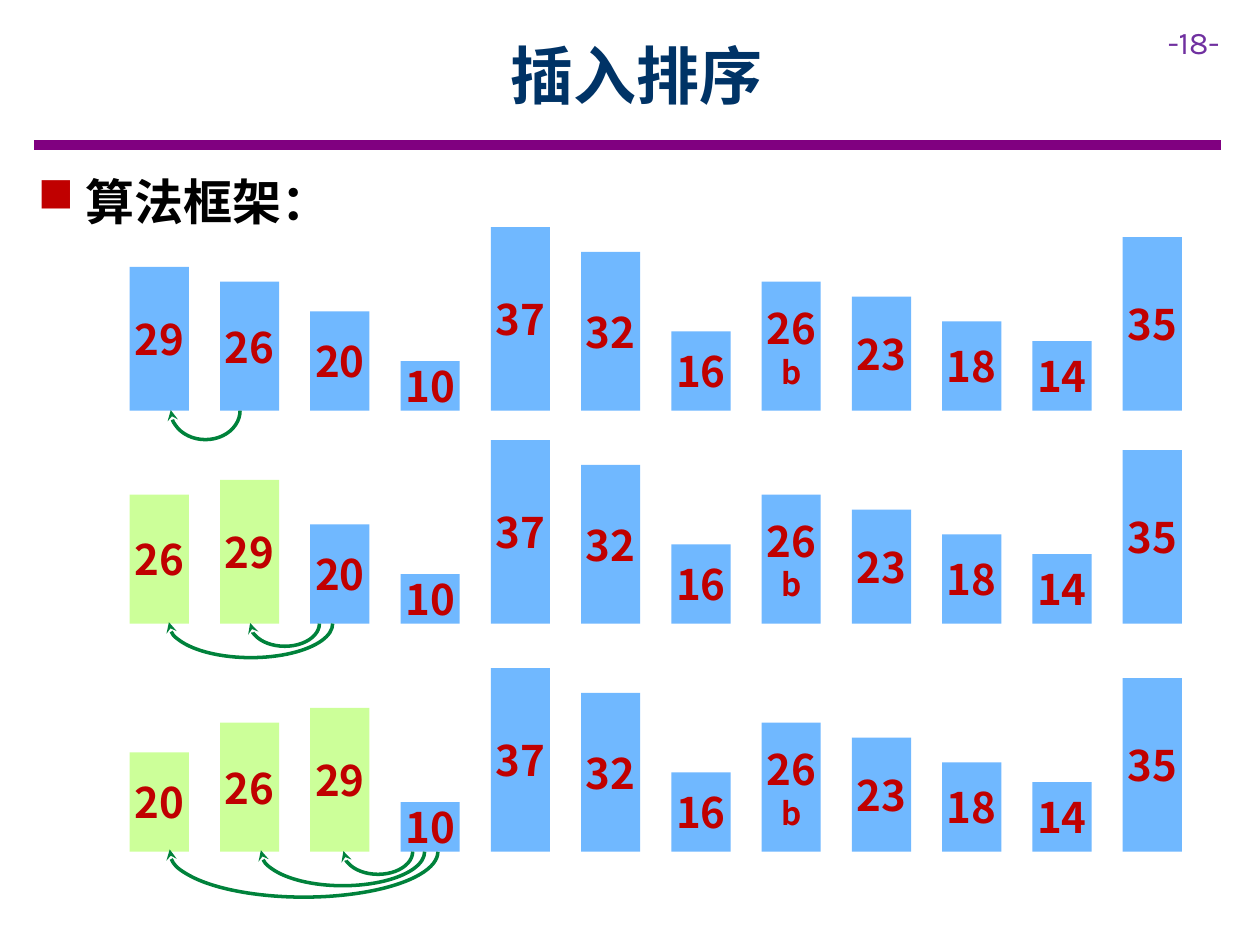
from dataclasses import dataclass

from lxml.etree import SubElement
from pptx import Presentation
from pptx.dml.color import RGBColor
from pptx.enum.shapes import MSO_CONNECTOR, MSO_SHAPE
from pptx.enum.text import MSO_ANCHOR, PP_ALIGN
from pptx.oxml.ns import qn
from pptx.util import Inches, Pt

CJK_FONT = "Noto Sans CJK SC"
BLUE = RGBColor(0x70, 0xB8, 0xFF)
LIME = RGBColor(0xCC, 0xFF, 0x99)
GREEN = RGBColor(0x00, 0x82, 0x3B)
RED = RGBColor(0xC0, 0x00, 0x00)
NAVY = RGBColor(0x00, 0x33, 0x66)
PURPLE = RGBColor(0x80, 0x00, 0x80)
VIOLET = RGBColor(0x70, 0x30, 0xA0)
BLACK = RGBColor(0x00, 0x00, 0x00)

VALUES = ["29", "26", "20", "10", "37", "32", "16", "26b", "23", "18", "14", "35"]
FIRST_LEFT, LAST_LEFT = 1.03, 8.91
PITCH = (LAST_LEFT - FIRST_LEFT) / (len(VALUES) - 1)
BAR_WIDTH = 0.47
UNIT_HEIGHT = 1 / 25.4  # one millimetre per unit of value


@dataclass(frozen=True)
class Hop:
    """A comparison arrow below the bars, running from right to left."""
    center: float
    span: float
    depth: float


@dataclass(frozen=True)
class Step:
    baseline: float
    sorted_count: int
    hops: tuple[Hop, ...]


STEPS = (
    Step(3.26, 0, (Hop(1.63, 0.55, 0.46),)),
    Step(4.95, 2, (Hop(2.26, 0.55, 0.36), Hop(1.99, 1.3, 0.54))),
    Step(6.76, 3, (Hop(3.0, 0.55, 0.36), Hop(2.72, 1.3, 0.54),
                   Hop(2.41, 2.13, 0.72))),
)


def style(paragraph, size: float, color: RGBColor, name: str = CJK_FONT,
          bold: bool = True) -> None:
    font = paragraph.font
    font.size, font.bold, font.name = Pt(size), bold, name
    font.color.rgb = color
    properties = paragraph._p.pPr.find(qn("a:defRPr"))
    SubElement(properties, qn("a:ea"), typeface=name)


def add_text(slide, left: float, top: float, width: float, height: float, text: str):
    frame = slide.shapes.add_textbox(
        Inches(left), Inches(top), Inches(width), Inches(height)).text_frame
    frame.word_wrap = True
    frame.text = text
    return frame


def add_bar(slide, column: int, baseline: float, label: str, fill: RGBColor) -> None:
    number, suffix = label[:2], label[2:]
    height = int(number) * UNIT_HEIGHT
    bar = slide.shapes.add_shape(
        MSO_SHAPE.RECTANGLE, Inches(FIRST_LEFT + column * PITCH),
        Inches(baseline - height), Inches(BAR_WIDTH), Inches(height))
    bar.shadow.inherit = False
    bar.fill.solid()
    bar.fill.fore_color.rgb = fill
    bar.line.fill.background()
    frame = bar.text_frame
    frame.word_wrap = True
    frame.vertical_anchor = MSO_ANCHOR.MIDDLE
    frame.margin_left = frame.margin_right = 0
    frame.margin_top = frame.margin_bottom = Inches(0.1)
    frame.text = f"{number}\n{suffix}" if suffix else number
    for paragraph, size in zip(frame.paragraphs, (24, 18)):
        paragraph.alignment = PP_ALIGN.CENTER
        style(paragraph, size, RED)


def add_hop(slide, hop: Hop, baseline: float) -> None:
    # A right-hand half ellipse, turned so that it hangs below the baseline
    arc = slide.shapes.add_shape(
        MSO_SHAPE.ARC, Inches(hop.center - hop.depth / 2),
        Inches(baseline - hop.span / 2), Inches(hop.depth), Inches(hop.span))
    arc.rotation = 90
    arc.adjustments[0], arc.adjustments[1] = 162, 54.6
    arc.shadow.inherit = False
    arc.fill.background()
    arc.line.color.rgb = GREEN
    arc.line.width = Pt(2)
    SubElement(arc.line._get_or_add_ln(), qn("a:tailEnd"), type="stealth")


def add_step(slide, step: Step) -> None:
    count = step.sorted_count
    labels = sorted(VALUES[:count]) + VALUES[count:]
    for column, label in enumerate(labels):
        add_bar(slide, column, step.baseline, label, LIME if column < count else BLUE)
    for hop in step.hops:
        add_hop(slide, hop, step.baseline)


def add_heading(slide) -> None:
    # Rule below the title
    rule = slide.shapes.add_connector(
        MSO_CONNECTOR.STRAIGHT, Inches(0.27), Inches(1.15), Inches(9.69), Inches(1.15))
    rule.line.color.rgb = PURPLE
    rule.line.width = Pt(6)
    SubElement(rule._element.spPr, qn("a:effectLst"))

    # Page number
    page_number = add_text(slide, 9.17, 0.13, 0.83, 0.4, "-18-")
    style(page_number.paragraphs[0], 18, VIOLET, "Karla", bold=False)

    # Title
    title = add_text(slide, 0.9, 0.09, 8.31, 1, "插入排序")
    title.vertical_anchor = MSO_ANCHOR.MIDDLE
    title.paragraphs[0].alignment = PP_ALIGN.CENTER
    style(title.paragraphs[0], 36, NAVY)

    # Bulleted topic
    topic = add_text(slide, 0.2, 1.31, 9.45, 0.57, "算法框架：").paragraphs[0]
    topic.space_after = Pt(6)
    properties = topic._p.get_or_add_pPr()
    properties.set("marL", str(Inches(0.38)))
    properties.set("indent", str(-Inches(0.38)))
    bullet_color = SubElement(properties, qn("a:buClr"))
    SubElement(bullet_color, qn("a:srgbClr"), val=str(RED))
    SubElement(properties, qn("a:buChar"), char="■")
    style(topic, 28, BLACK)


def main() -> None:
    presentation = Presentation()
    presentation.slide_width, presentation.slide_height = Inches(10), Inches(7.5)
    slide = presentation.slides.add_slide(presentation.slide_layouts[6])
    add_heading(slide)
    for step in STEPS:
        add_step(slide, step)
    presentation.save("out.pptx")


if __name__ == "__main__":
    main()
